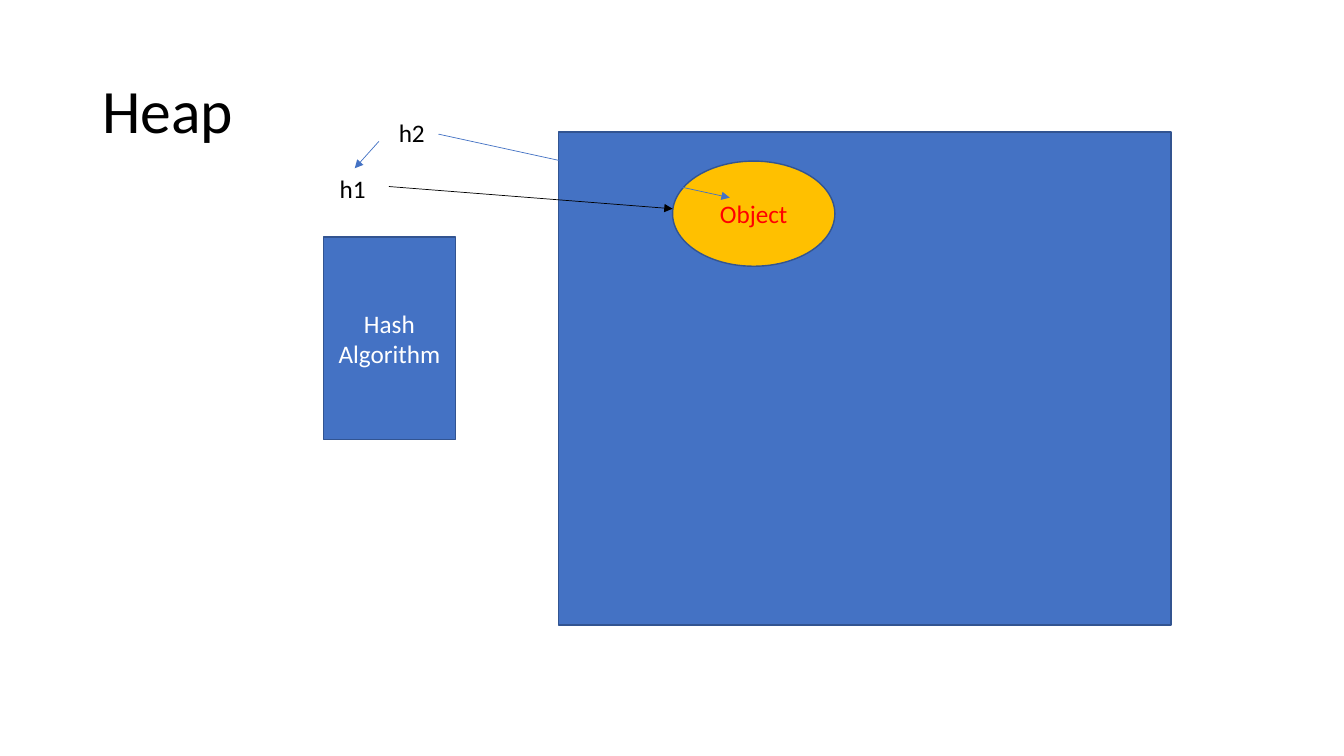
from dataclasses import dataclass

from lxml.etree import SubElement
from pptx import Presentation
from pptx.dml.color import RGBColor
from pptx.enum.shapes import MSO_CONNECTOR, MSO_SHAPE
from pptx.enum.text import MSO_ANCHOR, PP_ALIGN
from pptx.oxml.ns import qn
from pptx.util import Cm, Pt


@dataclass
class Theme:
    """Colours, font and type sizes of the slide."""
    font: str = "Calibri"
    title: int = 44
    body: int = 18
    blue: RGBColor = RGBColor(0x44, 0x72, 0xC4)
    outline: RGBColor = RGBColor(0x32, 0x54, 0x91)
    gold: RGBColor = RGBColor(0xFF, 0xC0, 0x00)
    red: RGBColor = RGBColor(0xFF, 0x00, 0x00)
    black: RGBColor = RGBColor(0x00, 0x00, 0x00)
    white: RGBColor = RGBColor(0xFF, 0xFF, 0xFF)


theme = Theme()


def write(sp, lines, size, color, align, anchor):
    """Fill a shape with one paragraph per line and return its text frame."""
    tf = sp.text_frame
    tf.word_wrap = True
    tf.vertical_anchor = anchor
    for i, line in enumerate(lines):
        p = tf.paragraphs[0] if i == 0 else tf.add_paragraph()
        p.alignment = align
        r = p.add_run()
        r.text = line
        r.font.name = theme.font
        r.font.size = Pt(size)
        r.font.color.rgb = color
    return tf


prs = Presentation()
prs.slide_width, prs.slide_height = Cm(33.87), Cm(19.05)
s = prs.slides.add_slide(prs.slide_layouts[6])

# Title
sp = s.shapes.add_textbox(Cm(2.33), Cm(1.01), Cm(29.21), Cm(3.68))
tf = write(sp, ["Heap"], theme.title, theme.black, PP_ALIGN.LEFT, MSO_ANCHOR.MIDDLE)
tf.paragraphs[0].line_spacing = 0.9

# Heap area, the object in it and the hash algorithm
shapes = [
    (MSO_SHAPE.RECTANGLE, (14.07, 3.33, 15.44, 12.42), theme.blue, [], theme.white),
    (MSO_SHAPE.OVAL, (16.95, 4.06, 4.09, 2.65), theme.gold, ["Object"], theme.red),
    (MSO_SHAPE.RECTANGLE, (8.15, 5.97, 3.33, 5.11), theme.blue,
     ["Hash", "Algorithm"], theme.white),
]
for kind, box, fill, lines, color in shapes:
    sp = s.shapes.add_shape(kind, *map(Cm, box))
    sp.shadow.inherit = False
    sp.fill.solid()
    sp.fill.fore_color.rgb = fill
    sp.line.color.rgb = theme.outline
    sp.line.width = Pt(1)
    write(sp, lines, theme.body, color, PP_ALIGN.CENTER, MSO_ANCHOR.MIDDLE)

# Reference names
for name, left, top in [("h1", 8.31, 4.24), ("h2", 9.8, 2.84)]:
    sp = s.shapes.add_textbox(Cm(left), Cm(top), Cm(1.25), Cm(1.02))
    write(sp, [name], theme.body, theme.black, PP_ALIGN.LEFT, MSO_ANCHOR.TOP)

# Arrows: h1 to object, h2 to h1, h2 to object
arrows = [
    ((9.8, 4.7, 16.95, 5.26), theme.black),
    ((9.55, 3.56, 8.94, 4.24), theme.blue),
    ((11.05, 3.38, 18.39, 4.98), theme.blue),
]
for ends, color in arrows:
    cx = s.shapes.add_connector(MSO_CONNECTOR.STRAIGHT, *map(Cm, ends))
    cx.line.color.rgb = color
    cx.line.width = Pt(0.5)
    SubElement(cx.line._get_or_add_ln(), qn("a:tailEnd"), type="triangle")
    SubElement(cx._element.spPr, qn("a:effectLst"))

prs.save("out.pptx")
